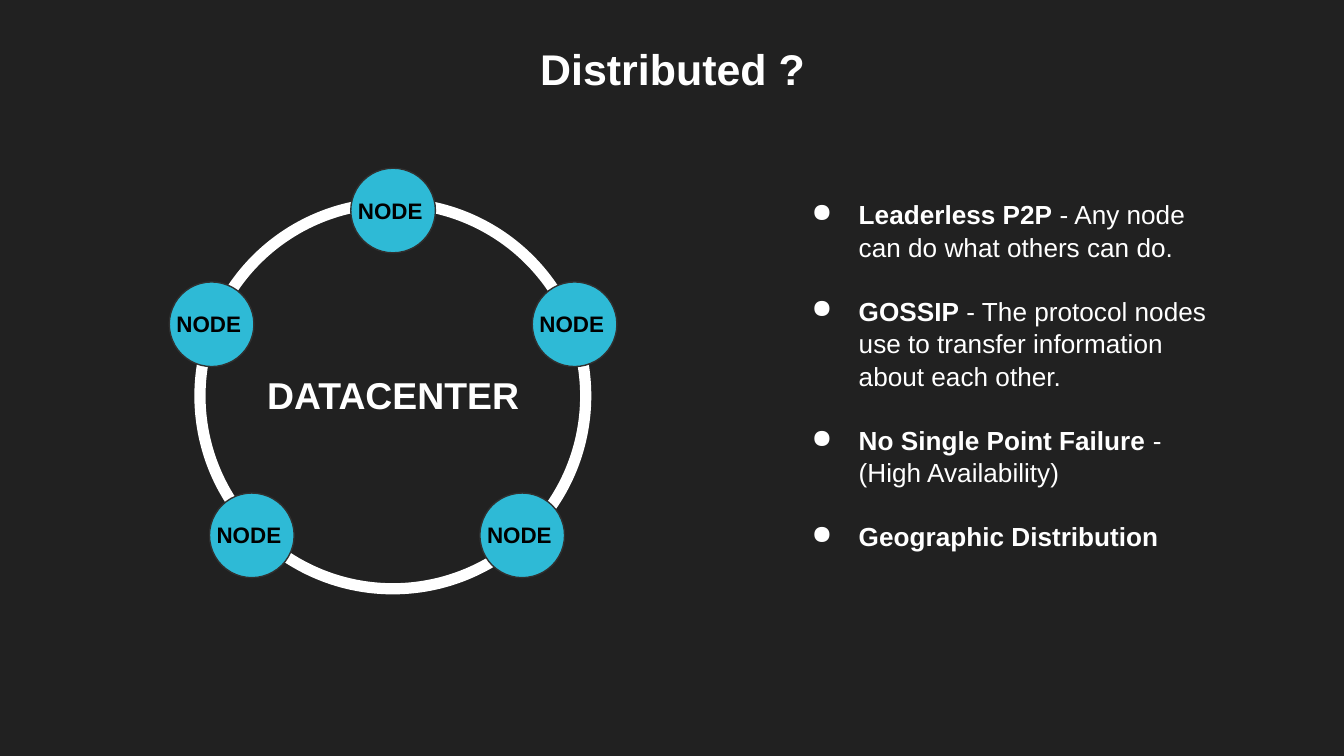
from lxml import etree
from pptx import Presentation
from pptx.dml.color import RGBColor
from pptx.enum.shapes import MSO_SHAPE
from pptx.enum.text import MSO_ANCHOR, PP_ALIGN
from pptx.oxml.ns import qn
from pptx.util import Cm, Pt

OVAL = MSO_SHAPE.OVAL
TOP, MIDDLE = MSO_ANCHOR.TOP, MSO_ANCHOR.MIDDLE
LEFT, CENTER = PP_ALIGN.LEFT, PP_ALIGN.CENTER

BACKGROUND = RGBColor(0x21, 0x21, 0x21)
WHITE = RGBColor(0xFF, 0xFF, 0xFF)
BLACK = RGBColor(0x00, 0x00, 0x00)
NODE_FILL = RGBColor(0x2E, 0xBA, 0xD6)
NODE_LINE = RGBColor(0x30, 0x30, 0x30)

FONT = "Arial"
INSET = Cm(0.25)
NODE_SIZE = 1.6
NODES = [(6.63, 3.18), (10.06, 5.33), (3.2, 5.33), (3.96, 9.32), (9.07, 9.32)]

# Bold term, then plain explanation; a newline is a line break.
POINTS = [
    ("Leaderless P2P", " - Any node can do what others can do."),
    ("GOSSIP", " - The protocol nodes use to transfer information about each other."),
    ("No Single Point Failure ", "-\n(High Availability)"),
    ("Geographic Distribution", ""),
]


def add_runs(p, text, *, size, color=WHITE, bold=True):
    for i, line in enumerate(text.split("\n")):
        if i:
            p.add_line_break()
        r = p.add_run()
        r.text = line
        r.font.name = FONT
        r.font.size = Pt(size)
        r.font.bold = bold
        r.font.color.rgb = color


def add_text_frame(s, x, y, w, h, anchor=TOP):
    tf = s.shapes.add_textbox(Cm(x), Cm(y), Cm(w), Cm(h)).text_frame
    tf.word_wrap = True
    tf.vertical_anchor = anchor
    tf.margin_left = tf.margin_right = tf.margin_top = tf.margin_bottom = INSET
    return tf


def add_label(s, text, x, y, w, h, *, align=CENTER, anchor=TOP, **font):
    p = add_text_frame(s, x, y, w, h, anchor).paragraphs[0]
    p.alignment = align
    add_runs(p, text, **font)


def add_circle(s, x, y, size, *, line, width, fill=None):
    sp = s.shapes.add_shape(OVAL, Cm(x), Cm(y), Cm(size), Cm(size))
    sp.shadow.inherit = False
    if fill is None:
        sp.fill.background()
    else:
        sp.fill.solid()
        sp.fill.fore_color.rgb = fill
    sp.line.color.rgb = line
    sp.line.width = Pt(width)


def add_node(s, x, y):
    add_circle(s, x, y, NODE_SIZE, line=NODE_LINE, width=0.75, fill=NODE_FILL)
    add_label(s, "NODE ", x - 0.16, y + 0.29, 1.93, 1.02, size=12, color=BLACK)


def set_bullet(p):
    pPr = p._p.get_or_add_pPr()
    pPr.set("marL", str(Cm(1.27)))
    pPr.set("indent", str(-Cm(0.89)))
    color = etree.SubElement(pPr, qn("a:buClr"))
    etree.SubElement(color, qn("a:srgbClr"), val=str(WHITE))
    etree.SubElement(pPr, qn("a:buChar"), char="●")


def add_points(s, x, y, w, h):
    tf = add_text_frame(s, x, y, w, h)
    for i, (term, explanation) in enumerate(POINTS):
        p = tf.paragraphs[0] if i == 0 else tf.add_paragraph()
        p.alignment = LEFT
        p.line_spacing = 1.04
        p.space_before = Pt(16.8 if i else 0)
        set_bullet(p)
        add_runs(p, term, size=14)
        if explanation:
            add_runs(p, explanation, size=14, bold=False)


def main():
    prs = Presentation()
    prs.slide_width, prs.slide_height = Cm(25.4), Cm(14.29)
    s = prs.slides.add_slide(prs.slide_layouts[6])
    s.background.fill.solid()
    s.background.fill.fore_color.rgb = BACKGROUND

    add_label(s, "Distributed ?", 3.23, 0.51, 18.97, 1.55, anchor=MIDDLE, size=23)
    add_circle(s, 3.78, 3.84, 7.29, line=WHITE, width=6)
    for x, y in NODES:
        add_node(s, x, y)
    add_points(s, 14.71, 3.48, 8.76, 8.31)
    add_label(s, "DATACENTER", 4.8, 6.78, 5.64, 1.37, align=LEFT, size=20)

    prs.save("out.pptx")


if __name__ == "__main__":
    main()
